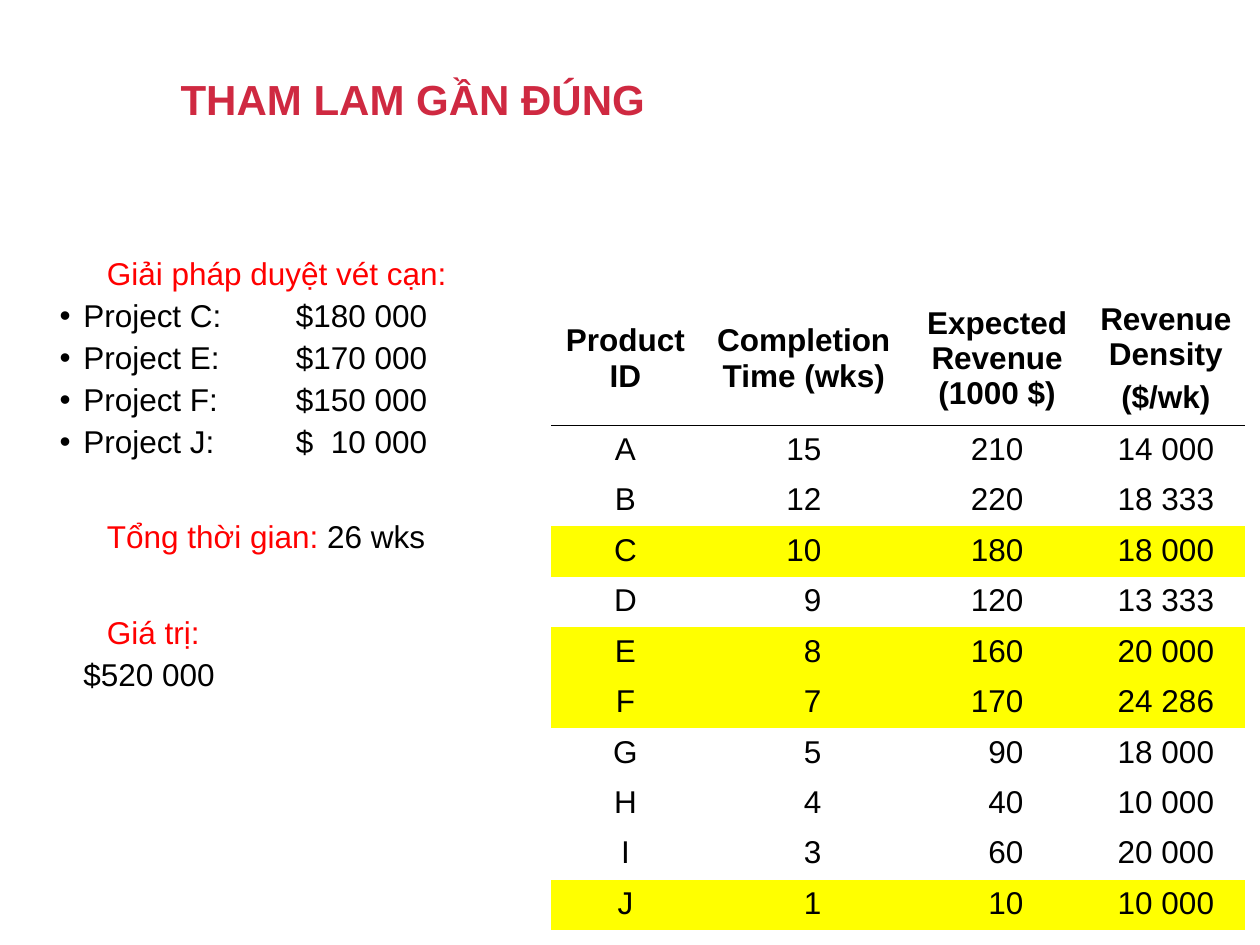
from lxml import etree
from pptx import Presentation
from pptx.dml.color import RGBColor
from pptx.enum.text import MSO_ANCHOR, PP_ALIGN
from pptx.oxml.ns import qn
from pptx.util import Pt

LEFT, CENTER, RIGHT = PP_ALIGN.LEFT, PP_ALIGN.CENTER, PP_ALIGN.RIGHT
MIDDLE, TOP = MSO_ANCHOR.MIDDLE, MSO_ANCHOR.TOP

FONT, SIZE = "Arial", 18
BLACK, RED, CRIMSON, YELLOW = "000000", "FF0000", "CF2941", "FFFF00"
NO_STYLE = "{2D5ABB26-0587-4C30-8999-92F81FD0307C}"

TITLE = "THAM LAM GẦN ĐÚNG"

# kind of line, then its (text, colour) runs
SOLUTION = [
    ("heading", [("Giải pháp duyệt vét cạn:", RED)]),
    ("project", [("Project C:\t$180 000", BLACK)]),
    ("project", [("Project E:\t$170 000", BLACK)]),
    ("project", [("Project F:\t$150 000", BLACK)]),
    ("project", [("Project J:\t$\t10 000", BLACK)]),
    ("heading", [("Tổng thời gian: ", RED), ("26 wks", BLACK)]),
    ("heading", [("Giá trị:", RED)]),
    ("total", [("$520 000", BLACK)]),
]
# left margin, first-line indent, space before
LINE_KINDS = {
    "heading": (54, 0, 35),
    "project": (40.5, -13.5, 4.6),
    "total": (40.5, 0, 4.6),
}
AMOUNT_TABS = [(162, "l"), (237, "r")]

HEADERS = ["Product ID", "Completion Time (wks)",
           "Expected Revenue (1000 $)", "Revenue Density\n($/wk)"]
PRODUCTS = [
    ("A", "15", "210", "14 000"),
    ("B", "12", "220", "18 333"),
    ("C", "10", "180", "18 000"),
    ("D", "9", "120", "13 333"),
    ("E", "8", "160", "20 000"),
    ("F", "7", "170", "24 286"),
    ("G", "5", "90", "18 000"),
    ("H", "4", "40", "10 000"),
    ("I", "3", "60", "20 000"),
    ("J", "1", "10", "10 000"),
]
CHOSEN = {"C", "E", "F", "J"}
COLUMN_WIDTHS = [85, 118.8, 102.2, 90.7]
MOST_DIGITS = {1: 2, 2: 3}  # right-aligned columns
DIGIT_WIDTH = 10
HEADER_HEIGHT, ROW_HEIGHT = 76.3, 28.8


def rgb(hex_colour):
    return RGBColor.from_string(hex_colour)


def set_font(font, size=SIZE, colour=BLACK, bold=False):
    font.name, font.size, font.bold = FONT, Pt(size), bold
    font.color.rgb = rgb(colour)


def add_bullet_and_tabs(paragraph):
    properties = paragraph._p.get_or_add_pPr()
    etree.SubElement(properties, qn("a:buFont"), typeface=FONT)
    etree.SubElement(properties, qn("a:buChar"), char="•")
    tabs = etree.SubElement(properties, qn("a:tabLst"))
    for position, side in AMOUNT_TABS:
        etree.SubElement(tabs, qn("a:tab"), pos=str(Pt(position)), algn=side)


def add_title(slide):
    title = slide.shapes.title
    title.left, title.top, title.width, title.height = Pt(96), Pt(29), Pt(574.5), Pt(59)
    frame = title.text_frame
    frame.text, frame.vertical_anchor = TITLE, MIDDLE
    paragraph = frame.paragraphs[0]
    paragraph.alignment, paragraph.line_spacing = LEFT, 0.9
    set_font(paragraph.font, 24, CRIMSON, True)


def add_solution(slide):
    frame = slide.shapes.add_textbox(Pt(0), Pt(144), Pt(621.5), Pt(342.5)).text_frame
    frame.word_wrap = True
    for index, (kind, runs) in enumerate(SOLUTION):
        paragraph = frame.paragraphs[0] if index == 0 else frame.add_paragraph()
        margin, indent, space = LINE_KINDS[kind]
        paragraph.line_spacing = 0.9
        paragraph.space_before = Pt(space if index else 0)
        properties = paragraph._p.get_or_add_pPr()
        properties.set("marL", str(Pt(margin)))
        properties.set("indent", str(Pt(indent)))
        if kind == "project":
            add_bullet_and_tabs(paragraph)
        for text, colour in runs:
            run = paragraph.add_run()
            run.text = text
            set_font(run.font, colour=colour)


def underline_cell(cell):
    line = etree.Element(qn("a:lnB"), w=str(Pt(0.45)))
    fill = etree.SubElement(line, qn("a:solidFill"))
    etree.SubElement(fill, qn("a:srgbClr"), val=BLACK)
    cell._tc.get_or_add_tcPr().insert(0, line)


def fill_cell(cell, text, column, is_header, is_chosen):
    cell.text = text
    cell.vertical_anchor = MIDDLE if is_header else TOP
    alignment = CENTER
    if not is_header and column in MOST_DIGITS:
        alignment = RIGHT
        digits_width = MOST_DIGITS[column] * DIGIT_WIDTH
        cell.margin_right = Pt((COLUMN_WIDTHS[column] - digits_width) / 2)
    for paragraph in cell.text_frame.paragraphs:
        paragraph.alignment, paragraph.space_before = alignment, Pt(4.5)
        set_font(paragraph.font, bold=is_header)
    if is_chosen:
        cell.fill.solid()
        cell.fill.fore_color.rgb = rgb(YELLOW)
    else:
        cell.fill.background()
    if is_header:
        underline_cell(cell)


def add_products(slide):
    rows = [HEADERS, *PRODUCTS]
    heights = [HEADER_HEIGHT] + [ROW_HEIGHT] * len(PRODUCTS)
    table = slide.shapes.add_table(
        len(rows), len(HEADERS), Pt(314.9), Pt(166.6),
        Pt(sum(COLUMN_WIDTHS)), Pt(sum(heights))).table
    table.horz_banding = table.first_row = False
    table._tbl.tblPr.find(qn("a:tableStyleId")).text = NO_STYLE
    for column, width in zip(table.columns, COLUMN_WIDTHS):
        column.width = Pt(width)
    for r, (values, height) in enumerate(zip(rows, heights)):
        table.rows[r].height = Pt(height)
        for c, text in enumerate(values):
            fill_cell(table.cell(r, c), text, c, r == 0, values[0] in CHOSEN)


def main():
    deck = Presentation()
    deck.slide_width, deck.slide_height = Pt(720), Pt(540)
    slide = deck.slides.add_slide(deck.slide_layouts[5])
    add_title(slide)
    add_solution(slide)
    add_products(slide)
    deck.save("out.pptx")


if __name__ == "__main__":
    main()
